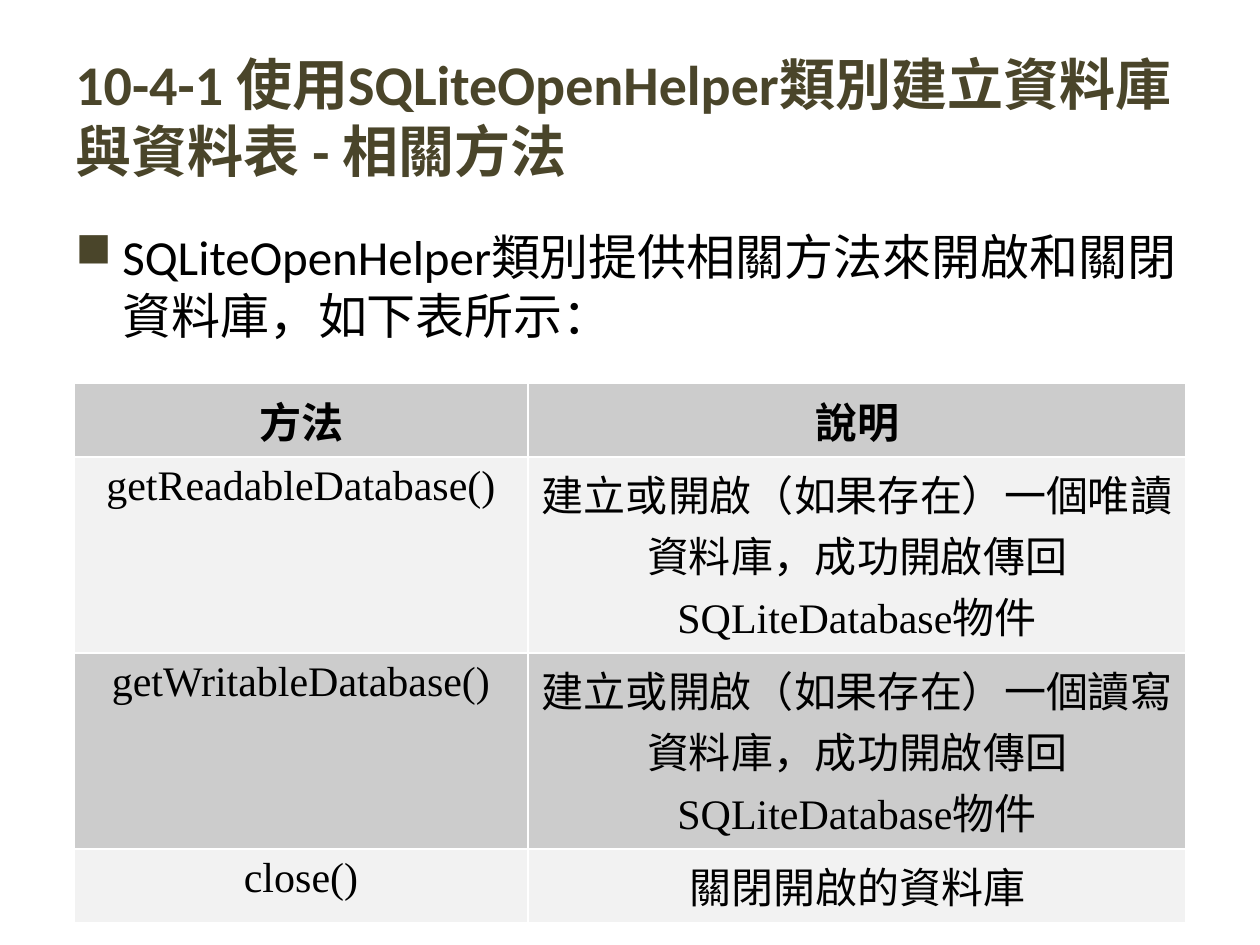
from lxml import etree
from pptx import Presentation
from pptx.dml.color import RGBColor
from pptx.enum.text import MSO_ANCHOR, PP_ALIGN
from pptx.oxml.ns import qn
from pptx.util import Emu, Pt

MIDDLE, TOP = MSO_ANCHOR.MIDDLE, MSO_ANCHOR.TOP
CENTER = PP_ALIGN.CENTER
EMU_PER_PX = 914400 / 126

THEME = {
    "heading": "4A452A", "text": "000000", "border": "FFFFFF",
    "band_dark": "CCCCCC", "band_light": "F2F2F2",
    "sans": "Calibri", "serif": "Times New Roman",
    "title_size": 32, "body_size": 28, "table_size": 24,
}


def px(n):
    return Emu(round(n * EMU_PER_PX))


def add_run(p, text, size, color, font, bold=False, east_asian=None):
    r = p.add_run()
    r.text = text
    r.font.size = Pt(size)
    r.font.bold = bold
    r.font.name = font
    r.font.color.rgb = RGBColor.from_string(color)
    if east_asian:
        etree.SubElement(r.font._element, qn("a:ea"), typeface=east_asian)


prs = Presentation()
prs.slide_width, prs.slide_height = px(1260), px(945)
s = prs.slides.add_slide(prs.slide_layouts[6])

# Title
sp = s.shapes.add_textbox(px(63), px(38), px(1134), px(157))
tf = sp.text_frame
tf.word_wrap = True
tf.vertical_anchor = MIDDLE
add_run(tf.paragraphs[0], "10-4-1 使用SQLiteOpenHelper類別建立資料庫與資料表 - 相關方法",
        THEME["title_size"], THEME["heading"], THEME["sans"], True, THEME["sans"])

# Bulleted introduction
sp = s.shapes.add_textbox(px(63), px(220), px(1134), px(624))
tf = sp.text_frame
tf.word_wrap = True
tf.vertical_anchor = TOP
p = tf.paragraphs[0]
pPr = p._p.get_or_add_pPr()
pPr.set("marL", str(px(47)))
pPr.set("indent", str(-px(47)))
bullet_color = etree.SubElement(pPr, qn("a:buClr"))
etree.SubElement(bullet_color, qn("a:srgbClr"), val=THEME["heading"])
etree.SubElement(pPr, qn("a:buChar"), char="■")
add_run(p, "SQLiteOpenHelper類別提供相關方法來開啟和關閉資料庫，如下表所示：",
        THEME["body_size"], THEME["text"], THEME["sans"], east_asian=THEME["sans"])

# Method table
rows = [
    ("方法", "說明"),
    ("getReadableDatabase()", "建立或開啟（如果存在）一個唯讀資料庫，成功開啟傳回SQLiteDatabase物件"),
    ("getWritableDatabase()", "建立或開啟（如果存在）一個讀寫資料庫，成功開啟傳回SQLiteDatabase物件"),
    ("close()", "關閉開啟的資料庫"),
]
col_widths = [454, 658]
row_heights = [74, 196, 196, 74]
table = s.shapes.add_table(len(rows), len(col_widths), px(74), px(383),
                           px(sum(col_widths)), px(sum(row_heights))).table
for col, width in zip(table.columns, col_widths):
    col.width = px(width)

for i, (row, height) in enumerate(zip(rows, row_heights)):
    table.rows[i].height = px(height)
    for j, text in enumerate(row):
        cell = table.cell(i, j)
        # Borders come before the fill in the cell properties
        tcPr = cell._tc.get_or_add_tcPr()
        for side in ("a:lnL", "a:lnR", "a:lnT", "a:lnB"):
            ln = etree.SubElement(tcPr, qn(side), w=str(Pt(0.96)))
            line_fill = etree.SubElement(ln, qn("a:solidFill"))
            etree.SubElement(line_fill, qn("a:srgbClr"), val=THEME["border"])
        cell.fill.solid()
        band = "band_light" if i % 2 else "band_dark"
        cell.fill.fore_color.rgb = RGBColor.from_string(THEME[band])
        p = cell.text_frame.paragraphs[0]
        p.alignment = CENTER
        add_run(p, text, THEME["table_size"], THEME["text"], THEME["serif"], i == 0)

prs.save("out.pptx")
